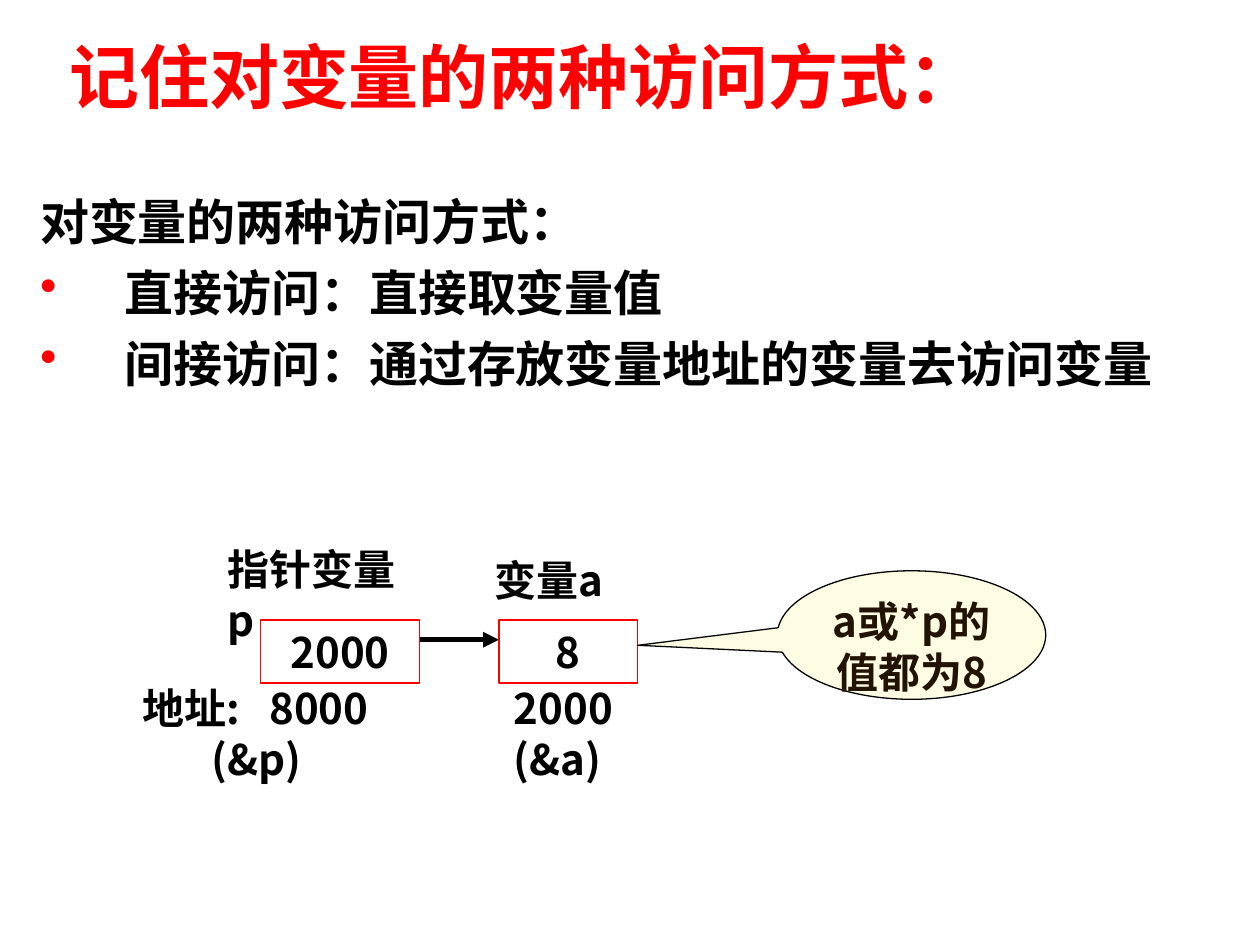
"""Build a slide on direct and indirect access to a variable."""
from dataclasses import dataclass

from lxml.etree import SubElement
from pptx import Presentation
from pptx.dml.color import RGBColor
from pptx.enum.shapes import MSO_CONNECTOR, MSO_SHAPE
from pptx.enum.text import MSO_ANCHOR, PP_ALIGN
from pptx.oxml.ns import qn
from pptx.util import Inches, Pt


@dataclass(frozen=True)
class Theme:
    font: str = "Noto Sans CJK SC"
    ink: str = "000000"
    accent: str = "FF0000"
    callout_fill: str = "FEFDE3"
    callout_ink: str = "221304"
    title: int = 40
    body: int = 28
    label: int = 24
    leading: float = 1.2
    thin: float = 0.75
    thick: float = 3


THEME = Theme()
WIDTH, HEIGHT = Inches(10), Inches(7.5)

TITLE = "记住对变量的两种访问方式："
TITLE_AREA = (4.5, 2.9, 90, 10.3)
BODY = ["对变量的两种访问方式：", "直接访问：直接取变量值", "间接访问：通过存放变量地址的变量去访问变量"]
BODY_AREA = (2.2, 19.6, 94.1, 27.3)
CELL_TOP, CELL_HEIGHT = 65.6, 6.67
CELLS = [("2000", 20.7, 12.6), ("8", 39.6, 11)]
ARROW_TOP = 67.7
LABELS = [
    (["地址:\t8000", "(&p)"], (10.3, 71.6, 24.1, 12)),
    (["2000", "(&a)"], (39.8, 71.6, 11, 12)),
    (["指针变量p"], (17.1, 56.9, 16, 12)),
    (["变量a"], (38.3, 58, 13, 6.67)),
]
ADDRESS_TAB, ADDRESS_INDENT = Inches(1.01), Inches(0.55)
CALLOUT = "a或*p的值都为8"
CALLOUT_AREA = (61.7, 60.4, 21.3, 13.6)
CALLOUT_TIP = (-1.02, 0.08)
BULLET_INDENT = Inches(0.67)


def place(left, top, width, height):
    """Turn percentages of the slide into lengths."""
    return tuple(round(share * side / 100) for share, side in
                 zip((left, top, width, height), (WIDTH, HEIGHT) * 2))


def set_all(target, formats):
    """Set every attribute named in a dict."""
    for attribute, value in formats.items():
        setattr(target, attribute, value)


def write(holder, lines, size, color=THEME.ink, align=PP_ALIGN.LEFT, anchor=MSO_ANCHOR.TOP):
    """Fill a shape with formatted paragraphs and return them."""
    frame = holder.text_frame
    set_all(frame, {
        "text": "\n".join(lines), "word_wrap": True, "vertical_anchor": anchor,
        "margin_left": Inches(0.1), "margin_right": Inches(0.1),
        "margin_top": Inches(0.05), "margin_bottom": Inches(0.05),
    })
    for paragraph in frame.paragraphs:
        set_all(paragraph, {"alignment": align, "line_spacing": Pt(size * THEME.leading)})
        for run in paragraph.runs:
            set_all(run.font, {"name": THEME.font, "size": Pt(size), "bold": True})
            run.font.color.rgb = RGBColor.from_string(color)
            SubElement(run.font._element, qn("a:ea"), typeface=THEME.font)
    return frame.paragraphs


def outline(shape, color, fill=None):
    """Give a shape a thin line and an optional fill."""
    shape.shadow.inherit = False
    shape.line.color.rgb = RGBColor.from_string(color)
    shape.line.width = Pt(THEME.thin)
    if fill:
        shape.fill.solid()
        shape.fill.fore_color.rgb = RGBColor.from_string(fill)
    else:
        shape.fill.background()


def add_body(shapes):
    """Add the introduction and its bulleted list."""
    body = shapes.add_textbox(*place(*BODY_AREA))
    for index, paragraph in enumerate(write(body, BODY, THEME.body)):
        if index == 0:
            continue
        paragraph.space_before = Pt(7)
        properties = paragraph._p.get_or_add_pPr()
        properties.set("marL", str(BULLET_INDENT))
        properties.set("indent", str(-BULLET_INDENT))
        bullet_color = SubElement(properties, qn("a:buClr"))
        SubElement(bullet_color, qn("a:srgbClr"), val=THEME.accent)
        SubElement(properties, qn("a:buChar"), char="•")


def add_diagram(shapes):
    """Add the pointer, its target, their labels and the callout."""
    for value, left, width in CELLS:
        cell = shapes.add_shape(MSO_SHAPE.RECTANGLE, *place(left, CELL_TOP, width, CELL_HEIGHT))
        outline(cell, THEME.accent)
        write(cell, [value], THEME.label, align=PP_ALIGN.CENTER, anchor=MSO_ANCHOR.MIDDLE)

    (_, pointer_left, pointer_width), (_, target_left, _) = CELLS
    arrow = shapes.add_connector(MSO_CONNECTOR.STRAIGHT, *place(
        pointer_left + pointer_width, ARROW_TOP, target_left, ARROW_TOP))
    arrow.line.color.rgb = RGBColor.from_string(THEME.ink)
    arrow.line.width = Pt(THEME.thick)
    SubElement(arrow.line._get_or_add_ln(), qn("a:tailEnd"), type="triangle")
    SubElement(arrow._element.spPr, qn("a:effectLst"))

    labels = [write(shapes.add_textbox(*place(*area)), lines, THEME.label)
              for lines, area in LABELS]
    address, name = labels[0]
    tabs = SubElement(address._p.get_or_add_pPr(), qn("a:tabLst"))
    SubElement(tabs, qn("a:tab"), pos=str(ADDRESS_TAB), algn="l")
    name._p.get_or_add_pPr().set("marL", str(ADDRESS_INDENT))

    callout = shapes.add_shape(MSO_SHAPE.OVAL_CALLOUT, *place(*CALLOUT_AREA))
    for index, offset in enumerate(CALLOUT_TIP):
        callout.adjustments[index] = offset
    outline(callout, THEME.ink, THEME.callout_fill)
    write(callout, [CALLOUT], THEME.label, THEME.callout_ink, PP_ALIGN.CENTER)


def main():
    """Assemble and save the slide."""
    deck = Presentation()
    set_all(deck, {"slide_width": WIDTH, "slide_height": HEIGHT})
    shapes = deck.slides.add_slide(deck.slide_layouts[5]).shapes
    title = shapes.title
    set_all(title, dict(zip(("left", "top", "width", "height"), place(*TITLE_AREA))))
    write(title, [TITLE], THEME.title, THEME.accent)
    add_body(shapes)
    add_diagram(shapes)
    deck.save("out.pptx")


if __name__ == "__main__":
    main()
